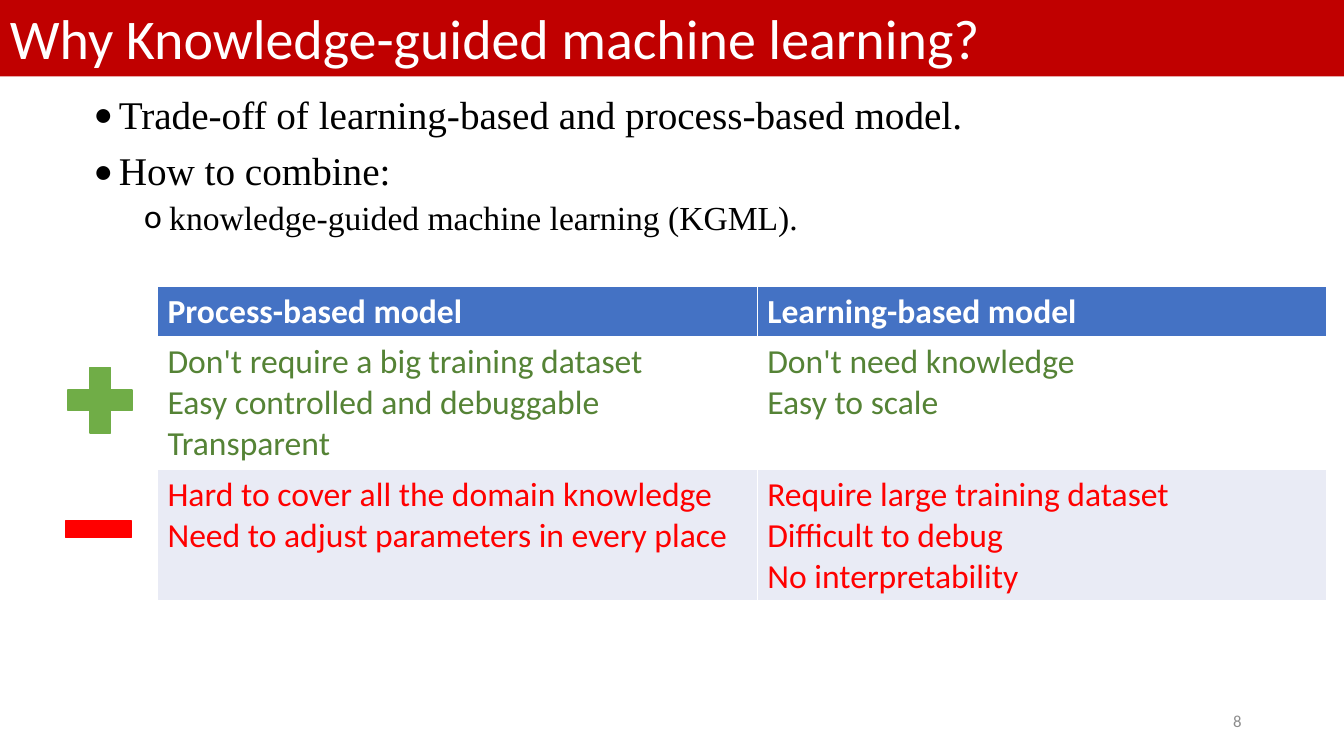
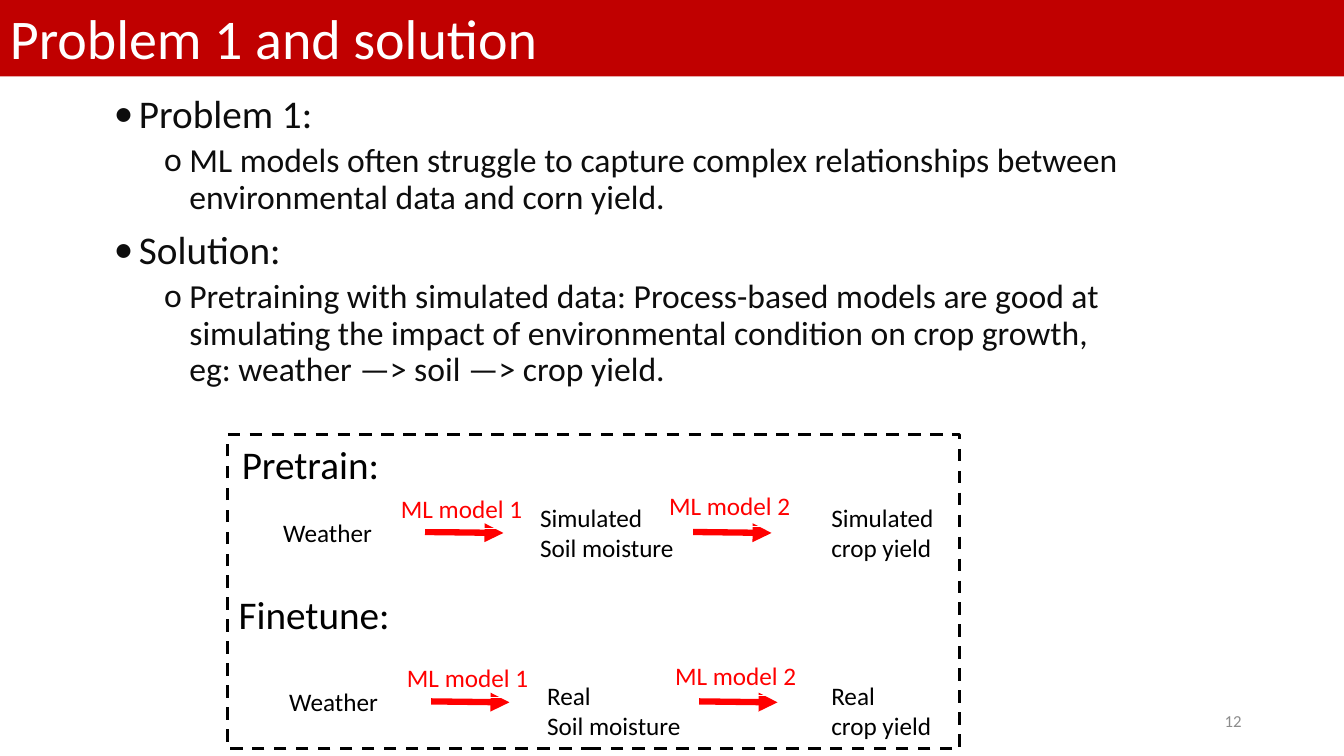
from dataclasses import dataclass

from lxml.etree import SubElement
from pptx import Presentation
from pptx.dml.color import RGBColor
from pptx.enum.dml import MSO_LINE
from pptx.enum.shapes import MSO_CONNECTOR, MSO_SHAPE
from pptx.enum.text import MSO_ANCHOR, PP_ALIGN
from pptx.oxml.ns import qn
from pptx.util import Pt


@dataclass(frozen=True)
class Theme:
    sans: str = "Calibri"
    serif: str = "Times New Roman"
    white: str = "FFFFFF"
    black: str = "000000"
    ink: str = "0D0D0D"
    grey: str = "8C8C8C"
    band: str = "C00000"
    head: str = "4472C4"
    pale: str = "E9EBF5"
    plus: str = "70AD47"
    good: str = "558336"
    bad: str = "FF0000"
    title: int = 40
    large: int = 28
    mid: int = 24
    small: int = 18
    foot: int = 12


T = Theme()
WIDE, HIGH = 960, 540


def rgb(code):
    return RGBColor.from_string(code)


def points(*nums):
    return [Pt(n) for n in nums]


def style(para, size, color, face=T.sans, bold=False):
    font = para.font
    font.size, font.name, font.bold = Pt(size), face, bold
    font.color.rgb = rgb(color)


def fill_text(frame, lines, size, color, bold=False):
    frame.text = "\n".join(lines)
    for para in frame.paragraphs:
        style(para, size, color, bold=bold)


def label(slide, box, lines, size, color=T.black):
    shape = slide.shapes.add_textbox(*points(*box))
    shape.text_frame.word_wrap = True
    fill_text(shape.text_frame, lines, size, color)
    return shape


def solid(slide, kind, box, color):
    shape = slide.shapes.add_shape(kind, *points(*box))
    shape.shadow.inherit = False
    shape.fill.solid()
    shape.fill.fore_color.rgb = rgb(color)
    shape.line.color.rgb = rgb(color)
    shape.line.width = Pt(1)


# Shared parts: title band and page number
def base(deck, title, number):
    slide = deck.slides.add_slide(deck.slide_layouts[6])
    band = label(slide, (0, -0.7, WIDE, 55.4), [title], T.title, T.white)
    band.fill.solid()
    band.fill.fore_color.rgb = rgb(T.band)
    foot = label(slide, (678, 500.5, 216, 28.8), [str(number)], T.foot, T.grey)
    foot.text_frame.vertical_anchor = MSO_ANCHOR.MIDDLE
    foot.text_frame.paragraphs[0].alignment = PP_ALIGN.RIGHT
    return slide


# Two-level bullet list; items are (level, text)
def bullets(slide, box, items, face, color):
    frame = slide.shapes.add_textbox(*points(*box)).text_frame
    frame.word_wrap = True
    for i, (level, text) in enumerate(items):
        para = frame.paragraphs[0] if i == 0 else frame.add_paragraph()
        para.text, para.level, para.line_spacing = text, level, 0.9
        para.space_before = Pt(0 if i == 0 else 5 if level else 10)
        props = para._p.get_or_add_pPr()
        props.set("marL", str(Pt(54 if level else 18)))
        props.set("indent", str(-Pt(18)))
        SubElement(props, qn("a:buFont")).set("typeface", T.sans)
        SubElement(props, qn("a:buChar")).set("char", "o" if level else "•")
        style(para, T.mid if level else T.large, color, face)


# Comparison table with plus and minus signs on its left
def compare(slide, x, y, widths, rows):
    heights = (36, 95, 93)
    looks = ((T.white, T.head), (T.good, T.white), (T.bad, T.pale))
    table = slide.shapes.add_table(
        len(rows), len(widths), *points(x, y, sum(widths), sum(heights))).table
    for col, width in zip(table.columns, widths):
        col.width = Pt(width)
    for r, (row, (color, back)) in enumerate(zip(rows, looks)):
        table.rows[r].height = Pt(heights[r])
        for c, lines in enumerate(row):
            cell = table.cell(r, c)
            cell.fill.solid()
            cell.fill.fore_color.rgb = rgb(back)
            fill_text(cell.text_frame, lines, T.mid, color, bold=r == 0)
    solid(slide, MSO_SHAPE.MATH_PLUS, (x - 72, y + 49.7, 62, 63.4), T.plus)
    solid(slide, MSO_SHAPE.MATH_MINUS, (x - 74, y + 149, 64, 49), T.bad)


def arrow(slide, x, y):
    line = slide.shapes.add_connector(
        MSO_CONNECTOR.STRAIGHT, *points(x, y, x + 56, y + 0.7))
    line.line.color.rgb = rgb(T.bad)
    line.line.width = Pt(4.5)
    SubElement(line.line._get_or_add_ln(), qn("a:tailEnd")).set("type", "triangle")
    SubElement(line._element.spPr, qn("a:effectLst"))


# One chain: weather, soil, crop, with a model over each arrow
def chain(slide, x, y, drop, soil, crop, kind):
    label(slide, (x, y + 18.7, 137, 29), ["Weather"], T.small)
    label(slide, (soil, y + drop, 117, 51), [kind, "Soil moisture"], T.small)
    label(slide, (crop, y + drop, 98, 51), [kind, "crop yield"], T.small)
    for i, rise in enumerate((1.5, 0)):
        left = x + 84.2 + 191.5 * i
        arrow(slide, left + 24.3, y + 33)
        tag = label(slide, (left, y + rise, 104.5, 29),
                    [f"ML model {i + 1}"], T.small, T.bad)
        tag.line.color.rgb = rgb(T.white)
        tag.line.width = Pt(0.75)


# Dashed panel holding both training stages
def stages(slide, x, y, wide, high):
    chain(slide, x + 32.4, y + 36.7, 8, x + 216, x + 424, "Simulated")
    chain(slide, x + 36.7, y + 157.7, 14.4, x + 221, x + 424, "Real")
    label(slide, (x + 2.9, y + 0.7, 135.4, 41), ["Pretrain:"], T.large)
    label(slide, (x + 0.7, y + 108, 135.4, 41), ["Finetune:"], T.large)
    panel = slide.shapes.add_shape(MSO_SHAPE.RECTANGLE, *points(x, y, wide, high))
    panel.shadow.inherit = False
    panel.fill.background()
    panel.line.color.rgb = rgb(T.black)
    panel.line.width = Pt(2.25)
    panel.line.dash_style = MSO_LINE.DASH


def why(deck):
    slide = base(deck, "Why Knowledge-guided machine learning?", 8)
    bullets(slide, (59.8, 64.8, 900, 338), [
        (0, "Trade-off of learning-based and process-based model."),
        (0, "How to combine:"),
        (1, "knowledge-guided machine learning (KGML)."),
    ], T.serif, T.black)
    compare(slide, 112.5, 204.5, (428.4, 406.8), [
        (["Process-based model"], ["Learning-based model"]),
        (["Don't require a big training dataset",
          "Easy controlled and debuggable", "Transparent"],
         ["Don't need knowledge", "Easy to scale"]),
        (["Hard to cover all the domain knowledge",
          "Need to adjust parameters in every place"],
         ["Require large training dataset", "Difficult to debug",
          "No interpretability"]),
    ])


def problem(deck):
    slide = base(deck, "Problem 1 and solution", 12)
    bullets(slide, (74.2, 64, 806.4, 339), [
        (0, "Problem 1:"),
        (1, "ML models often struggle to capture complex relationships "
            "between environmental data and corn yield."),
        (0, "Solution:"),
        (1, "Pretraining with simulated data: Process-based models are good at "
            "simulating the impact of environmental condition on crop growth, \v"
            "eg: weather —> soil —> crop yield."),
    ], T.sans, T.ink)
    stages(slide, 162.7, 310.3, 522.7, 224.6)


def main():
    deck = Presentation()
    deck.slide_width, deck.slide_height = points(WIDE, HIGH)
    why(deck)
    problem(deck)
    deck.save("out.pptx")


if __name__ == "__main__":
    main()
